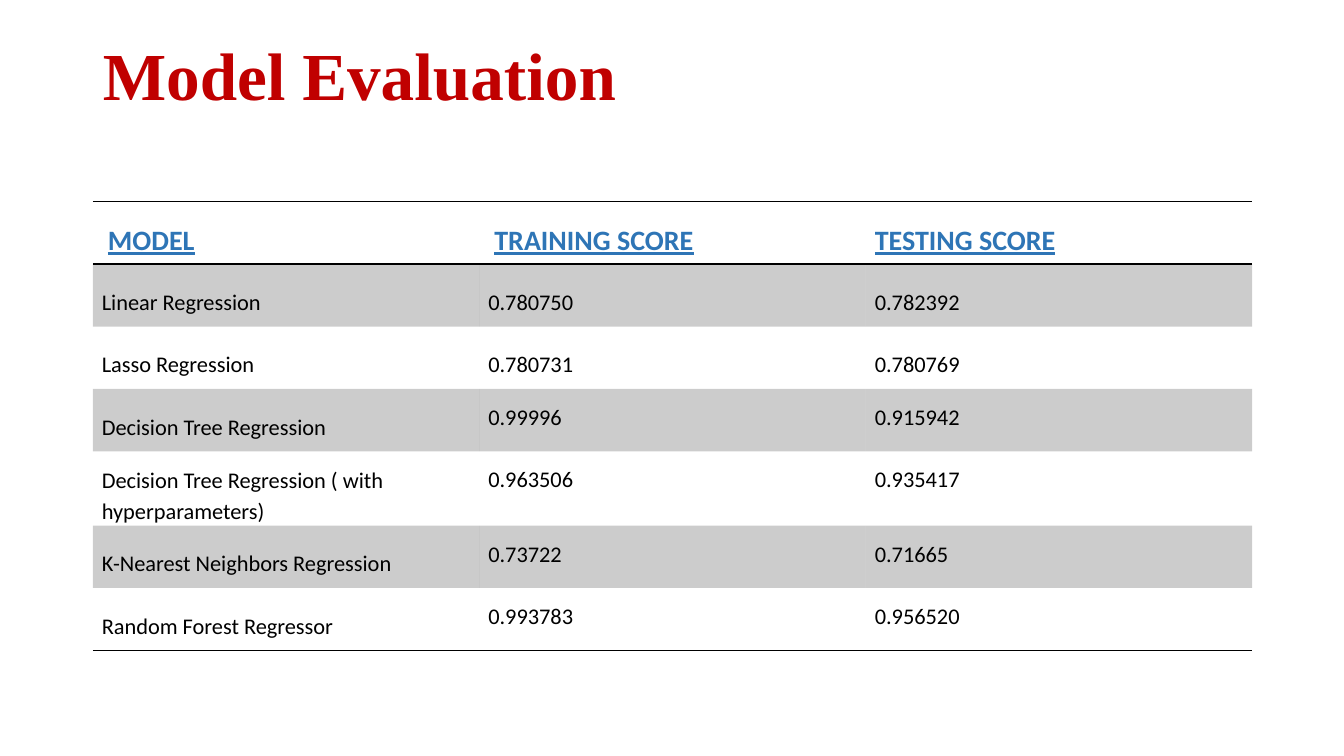
from lxml.etree import SubElement
from pptx import Presentation
from pptx.dml.color import RGBColor
from pptx.enum.text import MSO_ANCHOR, PP_ALIGN
from pptx.oxml.ns import qn
from pptx.util import Inches, Pt

COLORS = {"title": "C00000", "head": "2E75B6", "ink": "000000"}
PLAIN_STYLE = "{2D5ABB26-0587-4C30-8999-92F81FD0307C}"
SCORES = [
    ("MODEL", "TRAINING SCORE", "TESTING SCORE"),
    ("Linear Regression", "0.780750", "0.782392"),
    ("Lasso Regression", "0.780731", "0.780769"),
    ("Decision Tree Regression", "0.99996", "0.915942"),
    ("Decision Tree Regression ( with hyperparameters)", "0.963506", "0.935417"),
    ("K-Nearest Neighbors Regression", "0.73722", "0.71665"),
    ("Random Forest Regressor", "0.993783", "0.956520"),
]


def add_run(para, text, font, size, color, bold=False, underline=False):
    run = para.add_run()
    run.text = text
    run.font.name = font
    run.font.size = Pt(size)
    run.font.bold = bold
    run.font.underline = underline
    run.font.color.rgb = RGBColor.from_string(COLORS[color])


def add_title(slide, text):
    title = slide.shapes.title
    title.left, title.top = Inches(0.92), Inches(0.4)
    title.width, title.height = Inches(11.5), Inches(1.45)
    frame = title.text_frame
    frame.word_wrap = True
    frame.vertical_anchor = MSO_ANCHOR.TOP
    frame.margin_top = Inches(0.02)
    para = frame.paragraphs[0]
    para.alignment = PP_ALIGN.LEFT
    para.line_spacing = 0.9
    add_run(para, text, "Times New Roman", 48, "title", bold=True)


def add_rule(cell, side):
    """Draw a thin line on one side of a cell: lnT or lnB."""
    line = SubElement(cell._tc.get_or_add_tcPr(), qn(f"a:{side}"), w=str(Pt(1)))
    fill = SubElement(line, qn("a:solidFill"))
    SubElement(fill, qn("a:srgbClr"), val=COLORS["ink"])


def shade(cell):
    """Fill a cell with ink at 20 % opacity."""
    cell.fill.solid()
    cell.fill.fore_color.rgb = RGBColor.from_string(COLORS["ink"])
    color = cell._tc.tcPr.find(f".//{qn('a:solidFill')}[last()]/{qn('a:srgbClr')}")
    SubElement(color, qn("a:alpha"), val="20000")


def fill_cell(cell, text, row, col):
    head = row == 0
    cell.margin_left = Inches(0.15 if head and col < 2 else 0.09)
    cell.margin_right = Inches(0.08)
    cell.margin_top, cell.margin_bottom = Inches(0.11), 0
    middle = row < 3 or col == 0
    cell.vertical_anchor = MSO_ANCHOR.MIDDLE if middle else MSO_ANCHOR.TOP
    para = cell.text_frame.paragraphs[0]
    para.line_spacing = 1.15
    if head:
        add_run(para, text, "Calibri", 20, "head", bold=True, underline=True)
        add_rule(cell, "lnT")
    else:
        add_run(para, text, "Calibri", 16, "ink")
    if row in (0, len(SCORES) - 1):
        add_rule(cell, "lnB")
    if row % 2:
        shade(cell)


def add_scores(slide):
    rows, cols = len(SCORES), len(SCORES[0])
    frame = slide.shapes.add_table(
        rows, cols, Inches(0.92), Inches(2), Inches(11.5), Inches(0.62 * rows))
    table = frame.table
    table._tbl.tblPr.find(qn("a:tableStyleId")).text = PLAIN_STYLE
    table.first_row = table.horz_banding = False
    for row, texts in enumerate(SCORES):
        for col, text in enumerate(texts):
            fill_cell(table.cell(row, col), text, row, col)


def main():
    deck = Presentation()
    deck.slide_width, deck.slide_height = Inches(13.33), Inches(7.5)
    slide = deck.slides.add_slide(deck.slide_layouts[5])
    add_title(slide, "Model Evaluation")
    add_scores(slide)
    deck.save("out.pptx")


if __name__ == "__main__":
    main()
